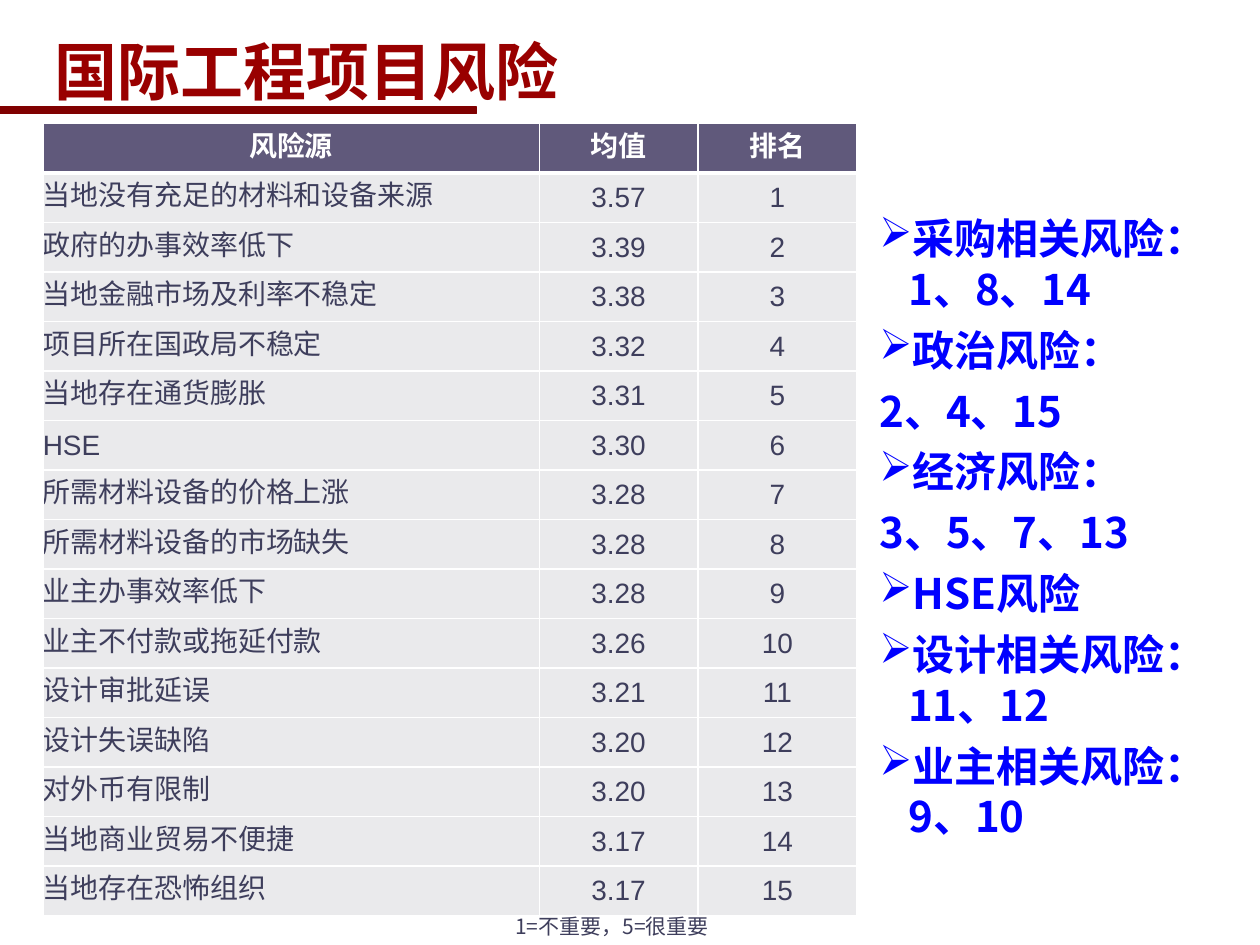
from pptx import Presentation
from pptx.dml.color import RGBColor
from pptx.enum.shapes import MSO_SHAPE as Shape
from pptx.enum.text import MSO_ANCHOR as Anchor, MSO_AUTO_SIZE as Fit, PP_ALIGN as Align
from pptx.oxml.ns import qn
from pptx.util import Inches, Pt
from lxml.etree import SubElement

RED = RGBColor(0x99, 0x00, 0x00)
MAROON = RGBColor(0x80, 0x00, 0x00)
BLUE = RGBColor(0x00, 0x00, 0xFF)
WHITE = RGBColor(0xFF, 0xFF, 0xFF)
INK = RGBColor(0x3E, 0x3E, 0x5C)
HEAD = RGBColor(0x60, 0x59, 0x7B)
BODY = RGBColor(0xEA, 0xEA, 0xEC)
SANS, CJK = "Arial", "Noto Sans CJK SC"

TITLE = "国际工程项目风险"
HEADS = ("风险源", "均值", "排名")
RISKS = [
    ("当地没有充足的材料和设备来源", "3.57"),
    ("政府的办事效率低下", "3.39"),
    ("当地金融市场及利率不稳定", "3.38"),
    ("项目所在国政局不稳定", "3.32"),
    ("当地存在通货膨胀", "3.31"),
    ("HSE", "3.30"),
    ("所需材料设备的价格上涨", "3.28"),
    ("所需材料设备的市场缺失", "3.28"),
    ("业主办事效率低下", "3.28"),
    ("业主不付款或拖延付款", "3.26"),
    ("设计审批延误", "3.21"),
    ("设计失误缺陷", "3.20"),
    ("对外币有限制", "3.20"),
    ("当地商业贸易不便捷", "3.17"),
    ("当地存在恐怖组织", "3.17"),
]
GROUPS = [  # text, bulleted
    ("采购相关风险：1、8、14", True),
    ("政治风险：", True),
    ("2、4、15", False),
    ("经济风险：", True),
    ("3、5、7、13", False),
    ("HSE风险", True),
    ("设计相关风险：11、12", True),
    ("业主相关风险：9、10", True),
]
NOTE = "1=不重要，5=很重要"
COLS = (3.94, 1.26, 1.26)
ROW = 6.29 / (len(RISKS) + 1)


def box(*nums):
    return [Inches(n) for n in nums]


def write(para, text, size, color, name=SANS, bold=False, **form):
    run = para.add_run()
    run.text = text
    look = {"size": Pt(size), "name": name, "bold": bold}
    for key, value in look.items():
        setattr(run.font, key, value)
    run.font.color.rgb = color
    SubElement(run.font._element, qn("a:ea"), typeface=CJK)
    for key, value in form.items():
        setattr(para, key, value)


def bullet(para):
    """Add an arrowhead bullet; Wingdings draws it at the code of Ø."""
    props = para._p.get_or_add_pPr()
    props.set("marL", str(Inches(0.23)))
    props.set("indent", str(-Inches(0.23)))
    SubElement(props, qn("a:buFont"), typeface="Wingdings", charset="2")
    SubElement(props, qn("a:buChar"), char="Ø")


def edge(cell, side, width):
    line = SubElement(cell._tc.get_or_add_tcPr(), qn("a:" + side), w=str(Pt(width)))
    fill = SubElement(line, qn("a:solidFill"))
    SubElement(fill, qn("a:srgbClr"), val=str(WHITE))


def fill_cell(cell, text, row, col):
    top = row == 0
    for side in ("lnL", "lnR", "lnT", "lnB"):
        thick = (top and side == "lnB") or (row == 1 and side == "lnT")
        edge(cell, side, 3 if thick else 1)
    cell.fill.solid()
    cell.fill.fore_color.rgb = HEAD if top else BODY
    cell.vertical_anchor = Anchor.MIDDLE
    for side in ("left", "right", "top", "bottom"):
        setattr(cell, "margin_" + side, 0)
    write(cell.text_frame.paragraphs[0], text, 16, WHITE if top else INK, bold=top,
          alignment=Align.CENTER if top or col else Align.LEFT,
          line_spacing=Pt(18), space_before=Pt(3), space_after=Pt(3))


def add_risks(slide):
    rows = [HEADS] + [(*risk, str(rank)) for rank, risk in enumerate(RISKS, 1)]
    table = slide.shapes.add_table(len(rows), len(COLS),
                                   *box(0.34, 0.98, sum(COLS), ROW * len(rows))).table
    for col, width in zip(table.columns, COLS):
        col.width = Inches(width)
    for r, row in enumerate(rows):
        table.rows[r].height = Inches(ROW)
        for c, text in enumerate(row):
            fill_cell(table.cell(r, c), text, r, c)


def add_groups(slide):
    frame = slide.shapes.add_textbox(*box(6.88, 1.64, 2.81, 5.13)).text_frame
    frame.word_wrap = True
    for i, (text, marked) in enumerate(GROUPS):
        para = frame.add_paragraph() if i else frame.paragraphs[0]
        para.line_spacing = Pt(28.8)
        para.space_before = Pt(6 if i else 0)
        if marked:
            bullet(para)
        write(para, text, 24, BLUE, CJK, True, alignment=Align.LEFT)


def main():
    deck = Presentation()
    deck.slide_width, deck.slide_height = box(10, 7.5)
    slide = deck.slides.add_slide(deck.slide_layouts[5])

    bar = slide.shapes.add_shape(Shape.RECTANGLE, *box(-0.01, 0.85, 3.79, 0.05))
    bar.shadow.inherit = False
    bar.fill.solid()
    bar.fill.fore_color.rgb = bar.line.color.rgb = MAROON
    bar.line.width = Pt(0.75)

    title = slide.shapes.title
    title.left, title.top, title.width, title.height = box(0.33, 0.33, 9.77, 0.45)
    frame = title.text_frame
    frame.auto_size = Fit.NONE
    frame.vertical_anchor = Anchor.MIDDLE
    write(frame.paragraphs[0], TITLE, 36, RED, bold=True, alignment=Align.LEFT)

    add_groups(slide)
    add_risks(slide)
    note = slide.shapes.add_textbox(*box(3.99, 7.2, 2.1, 0.3)).text_frame
    note.word_wrap = True
    write(note.paragraphs[0], NOTE, 12, INK, CJK)
    deck.save("out.pptx")


if __name__ == "__main__":
    main()
